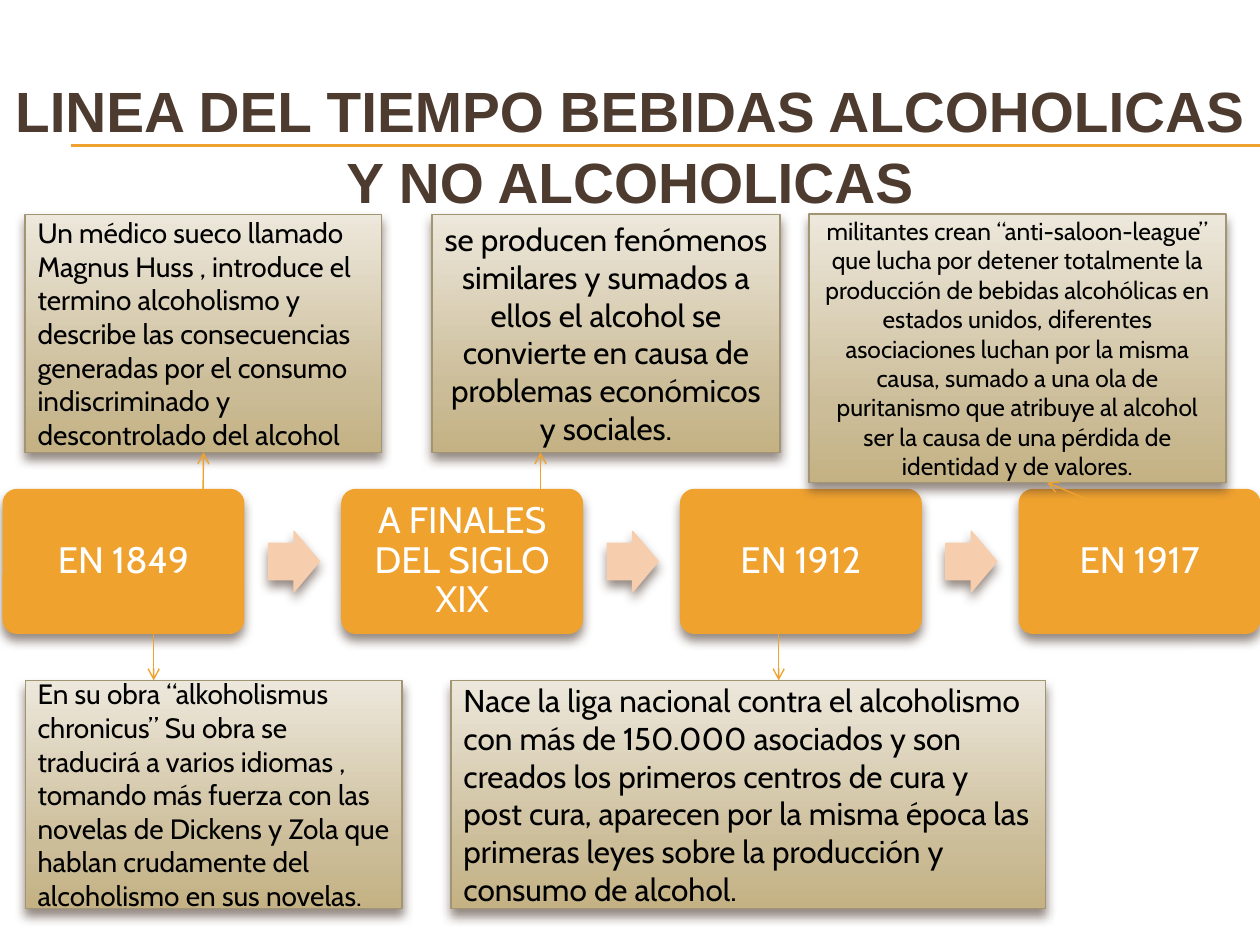
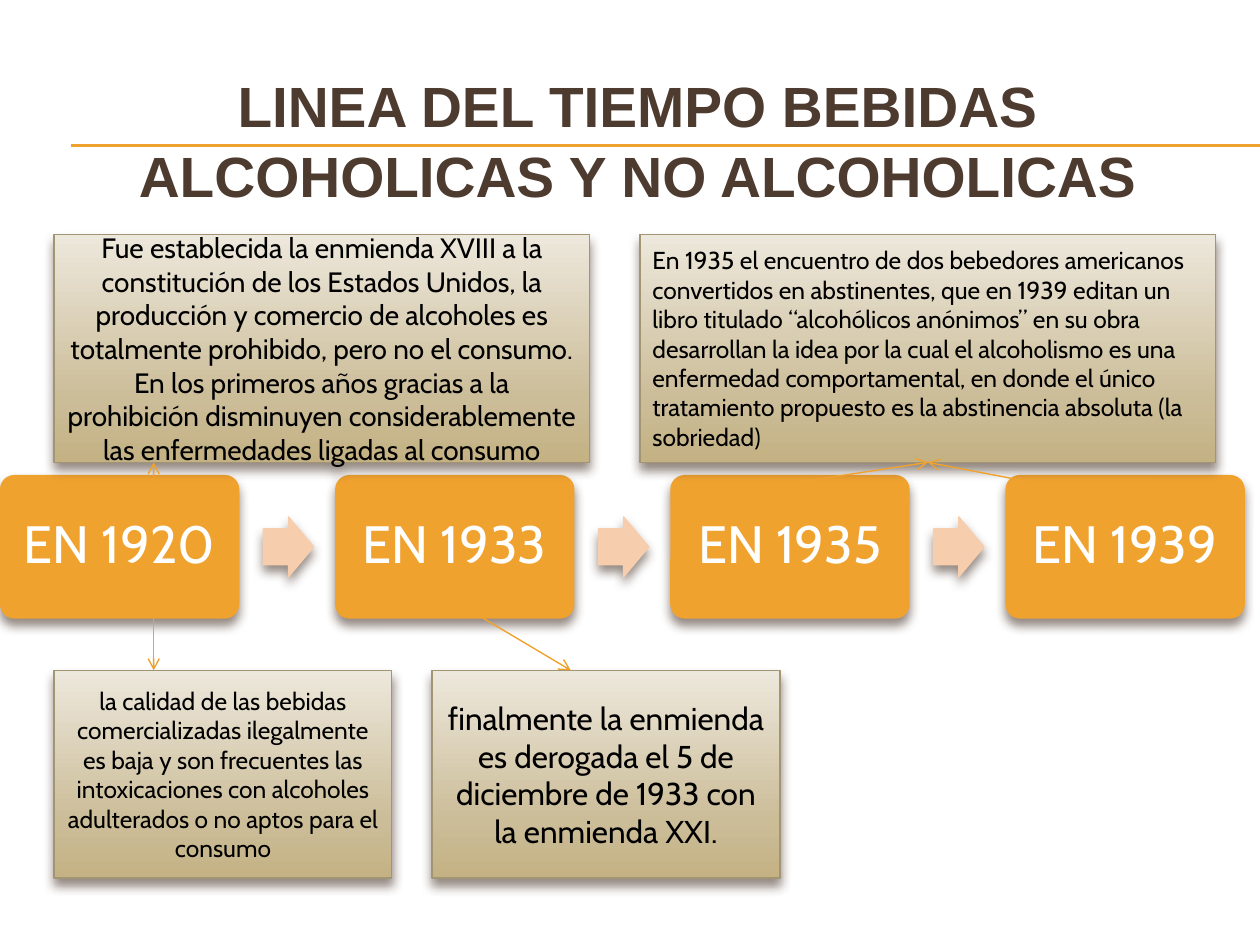
from dataclasses import dataclass

from lxml.etree import SubElement
from pptx import Presentation
from pptx.dml.color import RGBColor
from pptx.enum.shapes import MSO_CONNECTOR, MSO_SHAPE
from pptx.enum.text import MSO_ANCHOR, PP_ALIGN
from pptx.oxml import parse_xml
from pptx.oxml.ns import nsdecls, qn
from pptx.util import Inches, Pt


@dataclass(frozen=True)
class Theme:
    orange: str = "F0A22E"
    peach: str = "F6CEAD"
    brown: str = "4E3B30"
    card_border: str = "A19574"
    card_stops: tuple = ((0, "EDE8DC"), (72, "CCBD99"), (100, "C4B284"))
    white: str = "FFFFFF"
    black: str = "000000"
    title_font: str = "Arial"
    body_font: str = "Cabin"
    title_size: float = 32.4
    card_large: int = 18
    card_medium: int = 16
    card_small: int = 14
    rule_width: float = 0.75
    line_width: float = 0.79


theme = Theme()
LEFT, CENTER = PP_ALIGN.LEFT, PP_ALIGN.CENTER
TITLE = "LINEA DEL TIEMPO BEBIDAS ALCOHOLICAS Y NO ALCOHOLICAS"

# Cards: box (left, top, width, height), type size, alignment, text.
# Links: start, tip, index of the card the tip touches.
timelines = [
    {
        "title_box": (0, 0.5, 10, 1.28),
        "start": (0.02, 3.88), "step_width": 1.92,
        "step_size": 21, "step_inset": 0.09,
        "steps": ["EN 1849", "A FINALES DEL SIGLO XIX", "EN 1912", "EN 1917"],
        "cards": [
            ((0.2, 1.7, 2.83, 1.89), theme.card_medium, LEFT,
             "Un médico sueco llamado Magnus Huss , introduce el termino "
             "alcoholismo y describe las consecuencias generadas por el consumo "
             "indiscriminado y descontrolado del alcohol"),
            ((0.2, 5.4, 2.99, 1.81), theme.card_medium, LEFT,
             "En su obra “alkoholismus chronicus” Su obra se traducirá a varios "
             "idiomas , tomando más fuerza con las novelas de Dickens y Zola que "
             "hablan crudamente del alcoholismo en sus novelas."),
            ((3.43, 1.7, 2.76, 1.89), theme.card_large, CENTER,
             "se producen fenómenos similares y sumados a ellos el alcohol se "
             "convierte en causa de problemas económicos y sociales."),
            ((3.58, 5.4, 4.72, 1.81), theme.card_large, LEFT,
             "Nace la liga nacional contra el alcoholismo con más de 150.000 "
             "asociados y son creados los primeros centros de cura y post cura, "
             "aparecen por la misma época las primeras leyes sobre la producción "
             "y consumo de alcohol."),
            ((6.42, 1.7, 3.31, 2.13), theme.card_small, CENTER,
             "militantes crean “anti-saloon-league” que lucha por detener "
             "totalmente la producción de bebidas alcohólicas en estados unidos, "
             "diferentes asociaciones luchan por la misma causa, sumado a una ola "
             "de puritanismo que atribuye al alcohol ser la causa de una pérdida "
             "de identidad y de valores."),
        ],
        "links": [
            ((1.61, 4.06), (1.61, 3.59), 0),
            ((1.22, 4.93), (1.22, 5.4), 1),
            ((4.29, 4.06), (4.29, 3.59), 2),
            ((6.18, 4.93), (6.18, 5.4), 3),
            ((8.86, 4.06), (8.31, 3.83), 4),
        ],
    },
    {
        "title_box": (0.12, 0.5, 9.88, 1.2),
        "start": (0, 3.77), "step_width": 1.9,
        "step_size": 30, "step_inset": 0.12,
        "steps": ["EN 1920", "EN 1933", "EN 1935", "EN 1939"],
        "cards": [
            ((0.43, 1.86, 4.25, 1.81), theme.card_medium, CENTER,
             "Fue establecida la enmienda XVIII a la constitución de los Estados "
             "Unidos, la producción y comercio de alcoholes es totalmente "
             "prohibido, pero no el consumo. En los primeros años gracias a la "
             "prohibición disminuyen considerablemente las enfermedades ligadas "
             "al consumo"),
            ((0.43, 5.32, 2.68, 1.65), theme.card_small, CENTER,
             "la calidad de las bebidas comercializadas ilegalmente es baja y son "
             "frecuentes las intoxicaciones con alcoholes adulterados o no aptos "
             "para el consumo"),
            ((3.43, 5.32, 2.76, 1.65), theme.card_large, CENTER,
             "finalmente la enmienda es derogada el 5 de diciembre de 1933 con la "
             "enmienda XXI."),
            ((5.08, 1.86, 4.57, 1.81), theme.card_small, LEFT,
             "En 1935 el encuentro de dos bebedores americanos convertidos en "
             "abstinentes, que en 1939 editan un libro titulado “alcohólicos "
             "anónimos” en su obra desarrollan la idea por la cual el alcoholismo "
             "es una enfermedad comportamental, en donde el único tratamiento "
             "propuesto es la abstinencia absoluta (la sobriedad)"),
        ],
        "links": [
            ((1.22, 3.91), (1.22, 3.67), 0),
            ((1.22, 4.85), (1.22, 5.32), 1),
            ((3.74, 4.85), (4.53, 5.32), 2),
            ((5.79, 3.91), (7.36, 3.67), 3),
            ((8.62, 3.91), (7.36, 3.67), 3),
        ],
    },
]


def write(shape, text, size, color, font=theme.body_font, bold=False,
          align=CENTER, spacing=1.0, inset=None):
    frame = shape.text_frame
    frame.word_wrap = True
    frame.vertical_anchor = MSO_ANCHOR.MIDDLE
    if inset is not None:
        frame.margin_left = frame.margin_right = Inches(inset)
        frame.margin_top = frame.margin_bottom = Inches(inset)
    paragraph = frame.paragraphs[0]
    paragraph.alignment = align
    paragraph.line_spacing = spacing
    run = paragraph.add_run()
    run.text = text
    run.font.name = font
    run.font.size = Pt(size)
    run.font.bold = bold
    run.font.color.rgb = RGBColor.from_string(color)


def add_line(slide, start, end, width):
    line = slide.shapes.add_connector(
        MSO_CONNECTOR.STRAIGHT, *map(Inches, start + end))
    line.line.color.rgb = RGBColor.from_string(theme.orange)
    line.line.width = Pt(width)
    SubElement(line._element.spPr, qn("a:effectLst"))
    return line


presentation = Presentation()
presentation.slide_width = Inches(10)
presentation.slide_height = Inches(7.5)

for timeline in timelines:
    slide = presentation.slides.add_slide(presentation.slide_layouts[6])
    shapes = slide.shapes
    for rule_top in (1.15, 1.16):
        add_line(slide, (0.56, rule_top), (10, rule_top), theme.rule_width)

    # Step height, gap and arrow all follow from the step width.
    raised = []
    left, top = timeline["start"]
    width = timeline["step_width"]
    height = 0.6 * width
    arrow_width, arrow_height = 0.21 * width, 0.25 * width
    for index, label in enumerate(timeline["steps"]):
        step_left = left + index * 1.4 * width
        step = shapes.add_shape(
            MSO_SHAPE.ROUNDED_RECTANGLE,
            *map(Inches, (step_left, top, width, height)))
        step.adjustments[0] = 0.1
        step.fill.solid()
        step.fill.fore_color.rgb = RGBColor.from_string(theme.orange)
        step.line.fill.background()
        write(step, label, timeline["step_size"], theme.white,
              spacing=0.9, inset=timeline["step_inset"])
        raised.append(step)
        if index < len(timeline["steps"]) - 1:
            arrow = shapes.add_shape(
                MSO_SHAPE.RIGHT_ARROW,
                *map(Inches, (step_left + 1.1 * width,
                              top + (height - arrow_height) / 2,
                              arrow_width, arrow_height)))
            arrow.adjustments[0] = 0.6
            arrow.adjustments[1] = 0.5
            arrow.fill.solid()
            arrow.fill.fore_color.rgb = RGBColor.from_string(theme.peach)
            arrow.line.color.rgb = RGBColor.from_string(theme.peach)
            arrow.line.width = Pt(theme.line_width)
            raised.append(arrow)

    heading = shapes.add_textbox(*map(Inches, timeline["title_box"]))
    write(heading, TITLE, theme.title_size, theme.brown,
          font=theme.title_font, bold=True, spacing=1.04)

    cards = []
    stops = "".join(
        f'<a:gs pos="{position * 1000}"><a:srgbClr val="{color}"/></a:gs>'
        for position, color in theme.card_stops)
    for box, size, align, text in timeline["cards"]:
        card = shapes.add_shape(MSO_SHAPE.RECTANGLE, *map(Inches, box))
        card._element.spPr.insert(2, parse_xml(
            f'<a:gradFill {nsdecls("a")} rotWithShape="1">'
            f'<a:gsLst>{stops}</a:gsLst>'
            '<a:lin ang="5400000" scaled="0"/></a:gradFill>'))
        card.line.color.rgb = RGBColor.from_string(theme.card_border)
        card.line.width = Pt(theme.line_width)
        write(card, text, size, theme.black, align=align)
        cards.append(card)

    for shape in raised + cards:
        shape.shadow.inherit = False
        shape._element.spPr.find(qn("a:effectLst")).append(parse_xml(
            f'<a:outerShdw {nsdecls("a")} blurRad="{Pt(6)}" dist="{Pt(4)}" '
            'dir="5400000" rotWithShape="0">'
            f'<a:srgbClr val="{theme.brown}"><a:alpha val="60000"/></a:srgbClr>'
            '</a:outerShdw>'))

    for start, tip, card_index in timeline["links"]:
        link = add_line(slide, start, tip, theme.line_width)
        SubElement(link.line._get_or_add_ln(), qn("a:tailEnd"), type="arrow")
        card = cards[card_index]
        if abs(card.left + card.width / 2 - Inches(tip[0])) < Inches(0.02):
            link.end_connect(card, 2 if tip[1] < start[1] else 0)

presentation.save("out.pptx")
